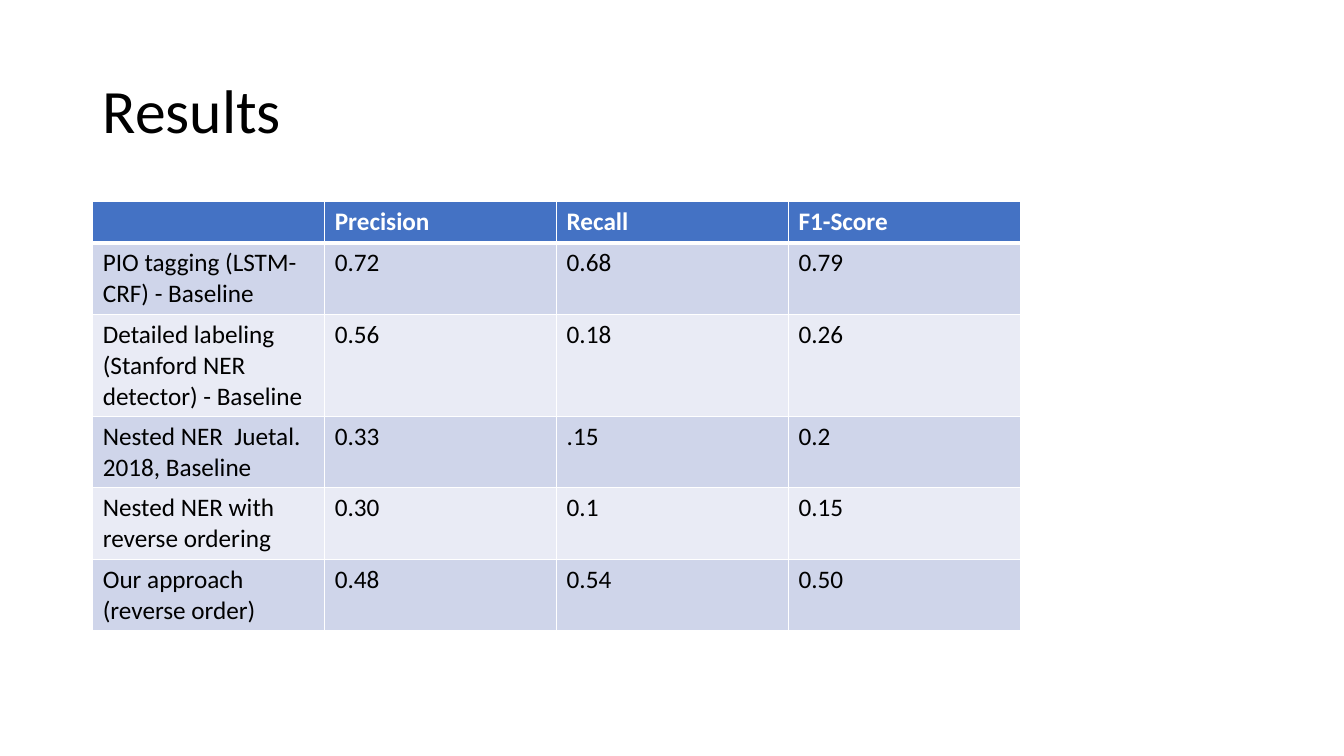
from lxml.etree import SubElement
from pptx import Presentation
from pptx.dml.color import RGBColor
from pptx.enum.text import MSO_ANCHOR
from pptx.oxml.ns import qn
from pptx.util import Inches, Pt

COLORS = {
    "text": "000000",
    "white": "FFFFFF",
    "header": "4472C4",
    "odd_row": "CFD5EA",
    "even_row": "E9EBF5",
}

RESULTS = [
    ("", "Precision", "Recall", "F1-Score"),
    ("PIO tagging (LSTM-CRF) - Baseline", "0.72", "0.68", "0.79"),
    ("Detailed labeling (Stanford NER detector) - Baseline", "0.56", "0.18", "0.26"),
    ("Nested NER  Juetal. 2018, Baseline", "0.33", ".15", "0.2"),
    ("Nested NER with reverse ordering", "0.30", "0.1", "0.15"),
    ("Our approach (reverse order)", "0.48", "0.54", "0.50"),
]
ROW_HEIGHTS = [0.41, 0.71, 1.01, 0.71, 0.71, 0.71]


class SlideBuilder:
    """Hold the style and the current slide, and add elements to it."""

    def __init__(self, slide, font_name="Calibri"):
        self.slide = slide
        self.font_name = font_name

    def style(self, paragraph, size, color, bold=False):
        font = paragraph.font
        font.name = self.font_name
        font.size = Pt(size)
        font.bold = bold
        font.color.rgb = RGBColor.from_string(COLORS[color])

    def title(self, text, left, top, width, height):
        shape = self.slide.shapes.add_textbox(
            Inches(left), Inches(top), Inches(width), Inches(height))
        frame = shape.text_frame
        frame.word_wrap = True
        frame.vertical_anchor = MSO_ANCHOR.MIDDLE
        paragraph = frame.paragraphs[0]
        paragraph.text = text
        paragraph.line_spacing = 0.9
        self.style(paragraph, 44, "text")

    def border(self, cell, side, width):
        properties = cell._tc.get_or_add_tcPr()
        line = SubElement(properties, qn(f"a:ln{side}"), w=str(Pt(width)))
        fill = SubElement(line, qn("a:solidFill"))
        SubElement(fill, qn("a:srgbClr"), val=COLORS["white"])

    def cell(self, cell, text, row_index):
        is_header = row_index == 0
        widths = {"L": 1, "R": 1, "T": 3 if row_index == 1 else 1, "B": 3 if is_header else 1}
        for side, width in widths.items():
            self.border(cell, side, width)
        fill_name = "header" if is_header else "odd_row" if row_index % 2 else "even_row"
        cell.fill.solid()
        cell.fill.fore_color.rgb = RGBColor.from_string(COLORS[fill_name])
        paragraph = cell.text_frame.paragraphs[0]
        paragraph.text = text
        self.style(paragraph, 18, "white" if is_header else "text", is_header)

    def table(self, rows, row_heights, left, top, column_width):
        column_count = len(rows[0])
        table = self.slide.shapes.add_table(
            len(rows), column_count, Inches(left), Inches(top),
            Inches(column_width * column_count), Inches(sum(row_heights))).table
        for column in table.columns:
            column.width = Inches(column_width)
        for row_index, (texts, height) in enumerate(zip(rows, row_heights)):
            table.rows[row_index].height = Inches(height)
            for column_index, text in enumerate(texts):
                self.cell(table.cell(row_index, column_index), text, row_index)


presentation = Presentation()
presentation.slide_width = Inches(13.33)
presentation.slide_height = Inches(7.5)
builder = SlideBuilder(presentation.slides.add_slide(presentation.slide_layouts[6]))
builder.title("Results", 0.92, 0.4, 11.5, 1.45)
builder.table(RESULTS, ROW_HEIGHTS, 0.92, 2, 2.3)
presentation.save("out.pptx")
